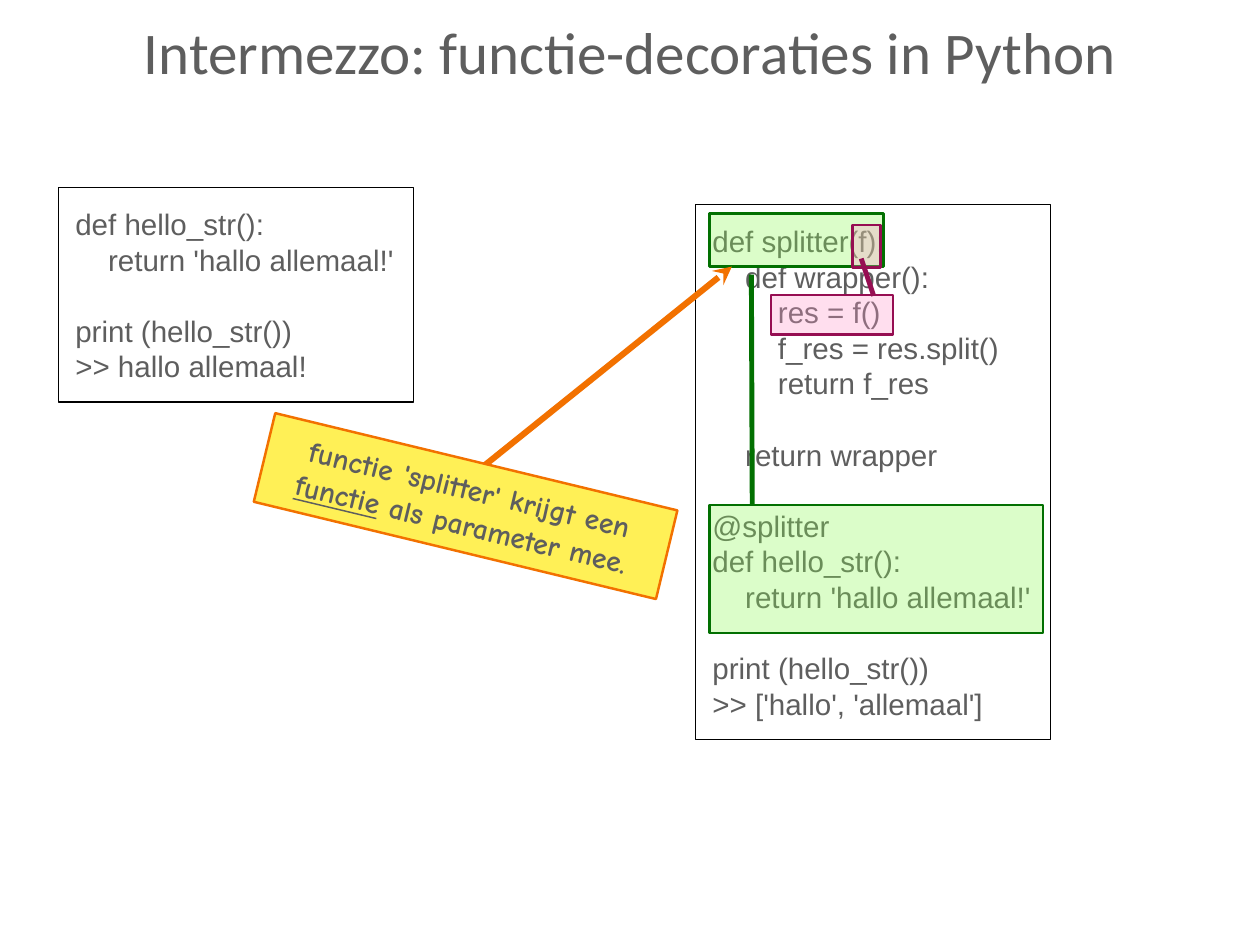
from dataclasses import dataclass
from typing import Any, Optional

import lxml.etree
import pptx
import pptx.dml.color
import pptx.enum.shapes
import pptx.enum.text
import pptx.oxml.ns
import pptx.util

EMU_PER_PX = 9144
INDENT_PX = 37
CODE_LINE_PT = 28.9
TEXT = "5E5E5E"
GREEN = "027001"
PURPLE = "960E52"
ORANGE = "F27100"
MIDDLE = pptx.enum.text.MSO_ANCHOR.MIDDLE
CENTER = pptx.enum.text.PP_ALIGN.CENTER


@dataclass(frozen=True)
class Box:
    """A rectangle, in px, with its outline and fill."""
    left: int
    top: int
    width: int
    height: int
    outline: str
    weight: float = 2
    fill: Optional[str] = None
    opacity: int = 100
    rotation: float = 0


@dataclass(frozen=True)
class CodeLine:
    """A line of code with its indent depth and blank lines before it."""
    text: str
    depth: int = 0
    blanks: int = 0


@dataclass(frozen=True)
class Link:
    """A straight line between two points, in px."""
    start: tuple[int, int]
    end: tuple[int, int]
    color: str
    weight: float
    head: Optional[str] = None


DECORATED_BOX = Box(785, 231, 401, 604, "000000", 1)
DECORATED_CODE = [
    CodeLine("def splitter(f):"),
    CodeLine("def wrapper():", 1),
    CodeLine("res = f()", 2),
    CodeLine("f_res = res.split()", 2),
    CodeLine("return f_res", 2),
    CodeLine("return wrapper", 1, 1),
    CodeLine("@splitter", 0, 1),
    CodeLine("def hello_str():"),
    CodeLine("return 'hallo allemaal!'", 1),
    CodeLine("print (hello_str())", 0, 1),
    CodeLine(">> ['hallo', 'allemaal']"),
]
PLAIN_BOX = Box(66, 212, 401, 242, "000000", 1)
PLAIN_CODE = [
    CodeLine("def hello_str():"),
    CodeLine("return 'hallo allemaal!'", 1),
    CodeLine("print (hello_str())", 0, 1),
    CodeLine(">> hallo allemaal!"),
]
DECORATOR_LINK = Link((849, 570), (848, 310), GREEN, 4)
HIGHLIGHTS = [
    Box(801, 570, 376, 145, GREEN, fill="89FA4E", opacity=30),
    Box(801, 241, 196, 60, GREEN, fill="89FA4E", opacity=30),
    Box(870, 333, 138, 45, PURPLE, fill="FF94CA", opacity=30),
    Box(962, 254, 32, 48, PURPLE, fill="FF94CA", opacity=30),
]
PARAMETER_LINKS = [
    Link((986, 334), (972, 292), PURPLE, 4),
    Link((535, 535), (826, 301), ORANGE, 5, "stealth"),
]
REMARK_BOX = Box(292, 520, 467, 103, ORANGE, fill="FFF056", rotation=13.6)
REMARK = [("functie 'splitter' krijgt een ", False), ("functie", True),
          (" als parameter mee.", False)]


def px(length: int) -> int:
    """Turn px into EMU."""
    return pptx.util.Emu(length * EMU_PER_PX)


def rgb(color: str) -> pptx.dml.color.RGBColor:
    """Turn a hex string into a colour."""
    return pptx.dml.color.RGBColor.from_string(color)


def apply(target: Any, values: dict[str, Any]) -> None:
    """Set each named attribute on the target."""
    for name, value in values.items():
        setattr(target, name, value)


def format_frame(frame: Any, margin: int, wrap: bool) -> None:
    """Centre the frame vertically with equal margins."""
    margins = {f"margin_{side}": px(margin) for side in ("left", "top", "right", "bottom")}
    apply(frame, {"auto_size": pptx.enum.text.MSO_AUTO_SIZE.NONE, "word_wrap": wrap,
                  "vertical_anchor": MIDDLE, **margins})


def add_run(paragraph: Any, text: str, font: str, size: int, **values: Any) -> None:
    """Add a formatted run to the paragraph."""
    run = paragraph.add_run()
    run.text = text
    apply(run.font, {"name": font, "size": pptx.util.Pt(size), **values})
    run.font.color.rgb = rgb(TEXT)


def draw_box(slide: Any, box: Box) -> Any:
    """Draw a rectangle and return it."""
    shape = slide.shapes.add_shape(pptx.enum.shapes.MSO_SHAPE.RECTANGLE,
                                   px(box.left), px(box.top), px(box.width), px(box.height))
    shape.shadow.inherit = False
    shape.rotation = box.rotation
    shape.line.color.rgb = rgb(box.outline)
    shape.line.width = pptx.util.Pt(box.weight)
    if box.fill is None:
        shape.fill.background()
        return shape
    shape.fill.solid()
    shape.fill.fore_color.rgb = rgb(box.fill)
    if box.opacity < 100:
        color = shape.element.spPr.find(pptx.oxml.ns.qn("a:solidFill"))[0]
        alpha = lxml.etree.SubElement(color, pptx.oxml.ns.qn("a:alpha"))
        alpha.set("val", str(box.opacity * 1000))
    return shape


def draw_code(slide: Any, box: Box, lines: list[CodeLine]) -> None:
    """Draw a framed code listing."""
    frame = draw_box(slide, box).text_frame
    format_frame(frame, 19, False)
    for number, line in enumerate(lines):
        paragraph = frame.add_paragraph() if number else frame.paragraphs[0]
        apply(paragraph, {"alignment": pptx.enum.text.PP_ALIGN.LEFT,
                          "line_spacing": pptx.util.Pt(CODE_LINE_PT),
                          "space_before": pptx.util.Pt(line.blanks * CODE_LINE_PT)})
        properties = paragraph._p.get_or_add_pPr()
        properties.set("marL", str(px(line.depth * INDENT_PX)))
        properties.set("indent", "0")
        add_run(paragraph, line.text, "Arial", 24)


def draw_link(slide: Any, link: Link) -> None:
    """Draw a straight line, with an arrowhead if it has one."""
    connector = slide.shapes.add_connector(pptx.enum.shapes.MSO_CONNECTOR.STRAIGHT,
                                           *map(px, link.start + link.end))
    connector.line.color.rgb = rgb(link.color)
    connector.line.width = pptx.util.Pt(link.weight)
    properties = connector.element.spPr
    if link.head:
        outline = properties.find(pptx.oxml.ns.qn("a:ln"))
        lxml.etree.SubElement(outline, pptx.oxml.ns.qn("a:tailEnd")).set("type", link.head)
    lxml.etree.SubElement(properties, pptx.oxml.ns.qn("a:effectLst"))


def draw_title(slide: Any, text: str) -> None:
    """Place and fill the title."""
    title = slide.shapes.title
    apply(title, {"left": px(156), "top": px(19), "width": px(1110), "height": px(78)})
    format_frame(title.text_frame, 6, False)
    paragraph = title.text_frame.paragraphs[0]
    paragraph.alignment = CENTER
    add_run(paragraph, text, "Calibri", 48)


def draw_remark(slide: Any) -> None:
    """Draw the tilted remark."""
    frame = draw_box(slide, REMARK_BOX).text_frame
    format_frame(frame, 11, True)
    paragraph = frame.paragraphs[0]
    paragraph.alignment = CENTER
    for text, underline in REMARK:
        add_run(paragraph, text, "Comic Neue", 24, bold=True, underline=underline)


def main() -> None:
    """Build and save the slide."""
    deck = pptx.Presentation()
    apply(deck, {"slide_width": px(1422), "slide_height": px(1067)})
    slide = deck.slides.add_slide(deck.slide_layouts[5])
    draw_title(slide, "Intermezzo: functie-decoraties in Python")
    draw_code(slide, DECORATED_BOX, DECORATED_CODE)
    draw_code(slide, PLAIN_BOX, PLAIN_CODE)
    draw_link(slide, DECORATOR_LINK)
    for highlight in HIGHLIGHTS:
        draw_box(slide, highlight)
    for link in PARAMETER_LINKS:
        draw_link(slide, link)
    draw_remark(slide)
    deck.save("out.pptx")


if __name__ == "__main__":
    main()
